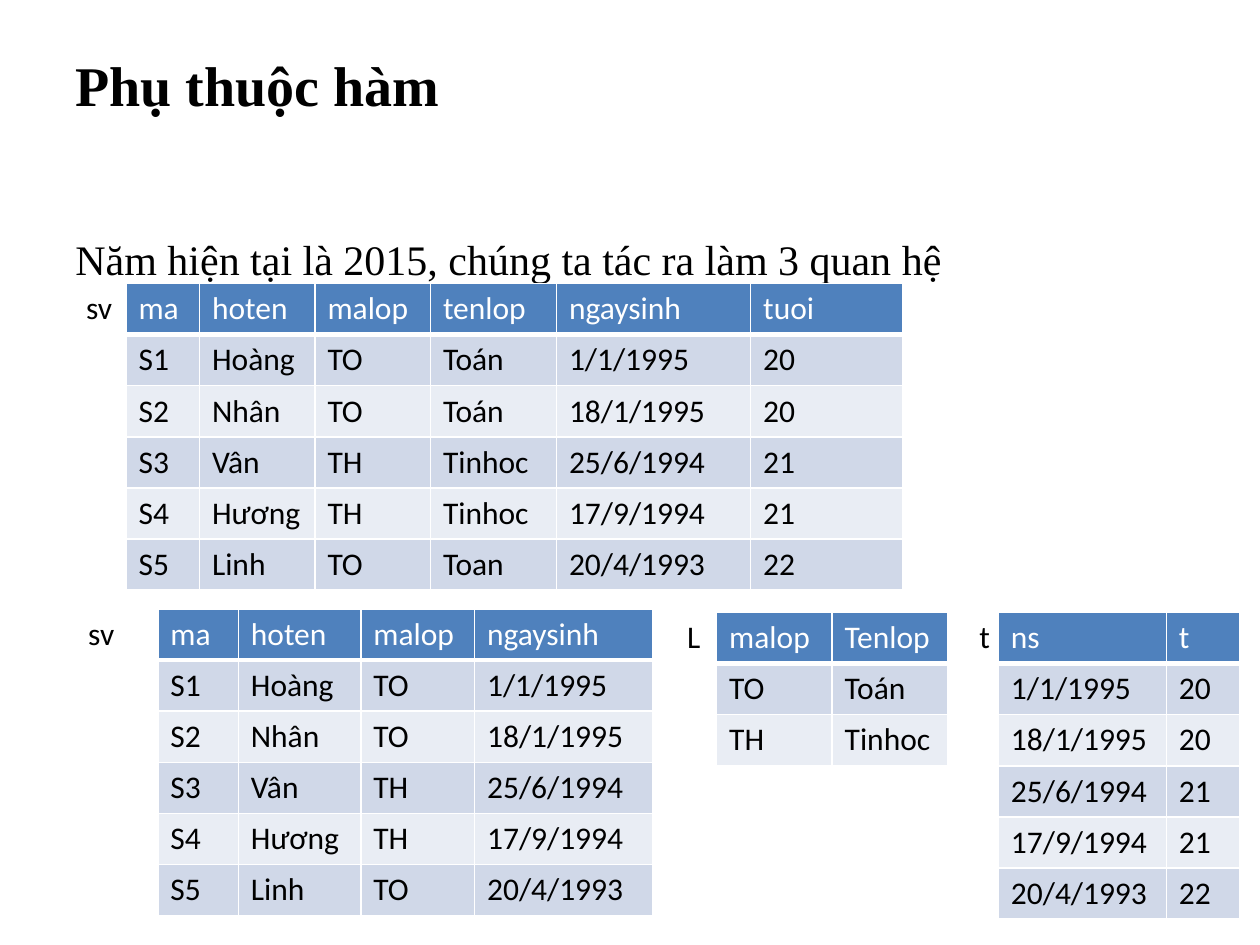
import pptx
import pptx.util
import pptx.dml.color
import pptx.enum.text
import pptx.oxml
import pptx.oxml.ns

Pt = pptx.util.Pt
BLACK, WHITE = "000000", "FFFFFF"
HEADER, ODD_ROW, EVEN_ROW = "4F81BD", "D0D8E8", "E9EDF4"
ROW_HEIGHT = 29.2

STUDENTS = [
    ["ma", "hoten", "malop", "tenlop", "ngaysinh", "tuoi"],
    ["S1", "Hoàng", "TO", "Toán", "1/1/1995", "20"],
    ["S2", "Nhân", "TO", "Toán", "18/1/1995", "20"],
    ["S3", "Vân", "TH", "Tinhoc", "25/6/1994", "21"],
    ["S4", "Hương", "TH", "Tinhoc", "17/9/1994", "21"],
    ["S5", "Linh", "TO", "Toan", "20/4/1993", "22"],
]
CLASSES = [["malop", "Tenlop"], ["TO", "Toán"], ["TH", "Tinhoc"]]


def rgb(color):
    return pptx.dml.color.RGBColor.from_string(color)


def add_run(p, text, size, font, color, bold=False):
    r = p.add_run()
    r.text = text
    r.font.size = Pt(size)
    r.font.name = font
    r.font.bold = bold
    r.font.color.rgb = rgb(color)


def add_text(s, box, text, size, bold=False):
    tf = s.shapes.add_textbox(*map(Pt, box)).text_frame
    tf.word_wrap = True
    tf.vertical_anchor = pptx.enum.text.MSO_ANCHOR.TOP
    tf.margin_top = Pt(7.5)
    add_run(tf.paragraphs[0], text, size, "Times New Roman", BLACK, bold)


def set_borders(cell, bottom):
    tc_pr = cell._tc.get_or_add_tcPr()
    for i, (side, width) in enumerate(zip("LRTB", (1, 1, 1, bottom))):
        ln = pptx.oxml.parse_xml(
            f'<a:ln{side} {pptx.oxml.ns.nsdecls("a")} w="{Pt(width)}">'
            f'<a:solidFill><a:srgbClr val="{WHITE}"/></a:solidFill></a:ln{side}>')
        tc_pr.insert(i, ln)


def style_cell(cell, text, row, fill=None, color=BLACK):
    if fill:
        cell.fill.solid()
        cell.fill.fore_color.rgb = rgb(fill)
    else:
        cell.fill.background()
    set_borders(cell, 1 if row else 3)
    if text:
        add_run(cell.text_frame.paragraphs[0], text, 18, "Calibri", color)


def add_relation(s, left, top, widths, name, rows):
    """Draw a relation: its name in the first column, its rows to the right."""
    shape = s.shapes.add_table(len(rows), len(widths), Pt(left), Pt(top),
                               Pt(sum(widths)), Pt(ROW_HEIGHT * len(rows)))
    table = shape.table
    for column, width in zip(table.columns, widths):
        column.width = Pt(width)
    for i, values in enumerate(rows):
        table.rows[i].height = Pt(ROW_HEIGHT)
        fill = HEADER if i == 0 else ODD_ROW if i % 2 else EVEN_ROW
        style_cell(table.cell(i, 0), "" if i else name, i)
        for j, value in enumerate(values, 1):
            style_cell(table.cell(i, j), value, i, fill, BLACK if i else WHITE)
    table.cell(1, 0).merge(table.cell(len(rows) - 1, 0))


def project(rows, *columns):
    return [[row[c] for c in columns] for row in rows]


def main():
    prs = pptx.Presentation()
    prs.slide_width, prs.slide_height = Pt(720), Pt(540)
    s = prs.slides.add_slide(prs.slide_layouts[6])

    # Title and introduction
    add_text(s, (36, 21.6, 648, 90), "Phụ thuộc hàm", 32, bold=True)
    add_text(s, (36, 126, 684, 408),
             "Năm hiện tại là 2015, chúng ta tác ra làm 3 quan hệ", 24)

    # Full relation
    add_relation(s, 42, 162, [30, 42, 66, 66, 72, 111, 87], "sv", STUDENTS)

    # The three relations it is split into
    add_relation(s, 43.2, 348, [47, 46, 70, 65, 102], "sv",
                 project(STUDENTS, 0, 1, 2, 4))
    add_relation(s, 385.5, 350, [24, 66, 66], "L", CLASSES)
    ages = [["ns", "t"]] + project(STUDENTS[1:], 4, 5)
    add_relation(s, 552.5, 350, [18, 96, 42], "t", ages)

    prs.save("out.pptx")


if __name__ == "__main__":
    main()
